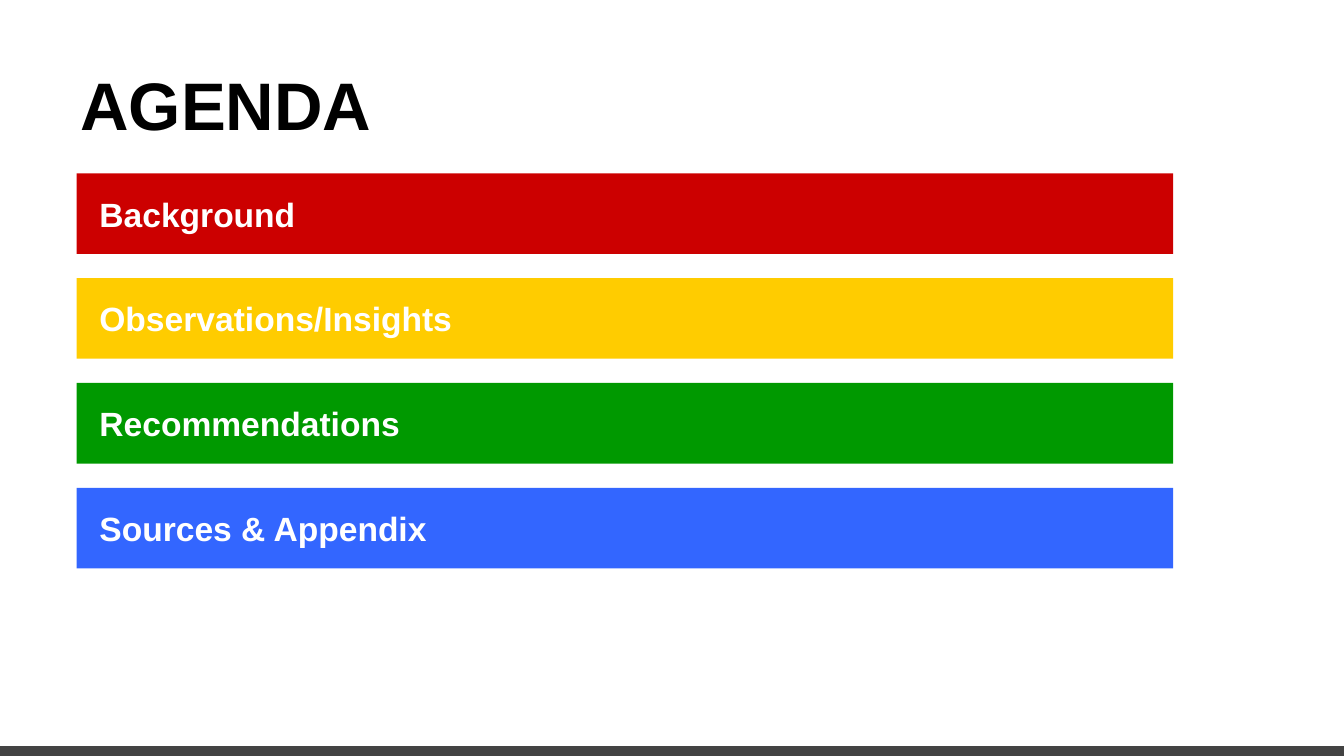
"""Build the agenda slide with four coloured bars."""
from lxml.etree import SubElement
from pptx import Presentation
from pptx.dml.color import RGBColor
from pptx.enum.shapes import MSO_CONNECTOR, MSO_SHAPE
from pptx.enum.text import MSO_ANCHOR, PP_ALIGN
from pptx.oxml.ns import qn
from pptx.util import Inches, Pt


def color(value):
    return RGBColor.from_string(value)


def write_text(shape, text, size, text_color, anchor, left_inset, inset):
    frame = shape.text_frame
    frame.word_wrap = True
    frame.vertical_anchor = anchor
    frame.margin_left = Inches(left_inset)
    frame.margin_top = frame.margin_right = frame.margin_bottom = Inches(inset)
    paragraph = frame.paragraphs[0]
    paragraph.text = text
    paragraph.alignment = PP_ALIGN.LEFT
    paragraph.font.name = "Arial"
    paragraph.font.size = Pt(size)
    paragraph.font.bold = True
    paragraph.font.color.rgb = color(text_color)


presentation = Presentation()
presentation.slide_width = Inches(10)
presentation.slide_height = Inches(10 * 9 / 16)
slide = presentation.slides.add_slide(presentation.slide_layouts[6])
slide.background.fill.solid()
slide.background.fill.fore_color.rgb = color("FFFFFF")

footer_line = slide.shapes.add_connector(
    MSO_CONNECTOR.STRAIGHT, Inches(0), Inches(5.59), Inches(10), Inches(5.59)
)
footer_line.line.color.rgb = color("434343")
footer_line.line.width = Pt(6)
SubElement(footer_line._element.spPr, qn("a:effectLst"))

agenda = [
    ("Background", "CC0000"),
    ("Observations/Insights", "FFCC00"),
    ("Recommendations", "009900"),
    ("Sources & Appendix", "3366FF"),
]
for index, (topic, bar_color) in enumerate(agenda):
    bar = slide.shapes.add_shape(
        MSO_SHAPE.RECTANGLE,
        Inches(0.57), Inches(1.29 + index * 0.78), Inches(8.16), Inches(0.6),
    )
    bar.shadow.inherit = False
    bar.fill.solid()
    bar.fill.fore_color.rgb = color(bar_color)
    bar.line.fill.background()
    write_text(bar, topic, 18, "FFFFFF", MSO_ANCHOR.MIDDLE, 0.17, 0.07)

title = slide.shapes.add_textbox(Inches(0.5), Inches(0.23), Inches(9), Inches(0.94))
write_text(title, "AGENDA", 36, "000000", MSO_ANCHOR.BOTTOM, 0.1, 0.1)

presentation.save("out.pptx")
